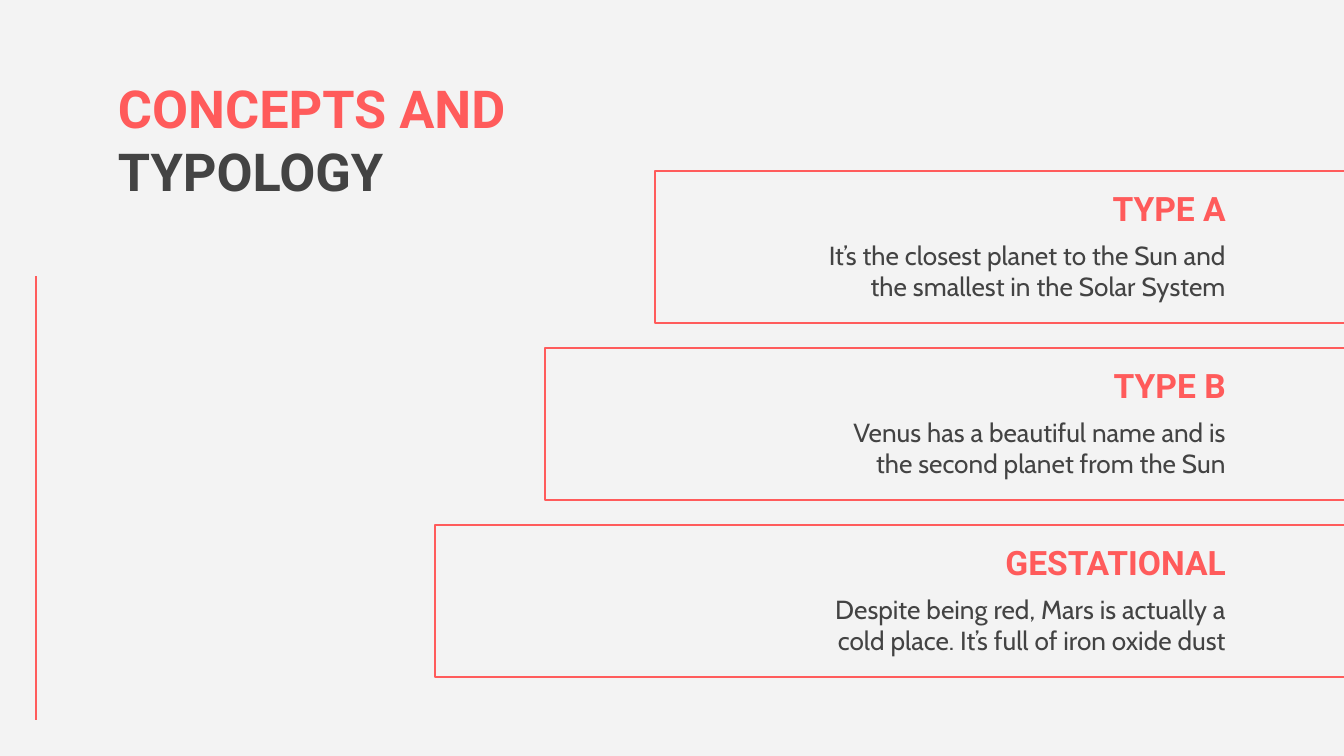
from dataclasses import dataclass

from lxml.etree import SubElement
from pptx import Presentation
from pptx.dml.color import RGBColor
from pptx.enum.shapes import MSO_CONNECTOR, MSO_SHAPE
from pptx.enum.text import MSO_ANCHOR, PP_ALIGN
from pptx.oxml.ns import qn
from pptx.util import Emu, Pt

PX_PER_INCH = 134.4
SLIDE_W, SLIDE_H = 1344, 756


@dataclass(frozen=True)
class Theme:
    background: RGBColor = RGBColor(0xF3, 0xF3, 0xF3)
    accent: RGBColor = RGBColor(0xFF, 0x5B, 0x5B)
    ink: RGBColor = RGBColor(0x43, 0x43, 0x43)
    heading_font: str = "Roboto"
    body_font: str = "Cabin"
    title_size: int = 28
    heading_size: int = 18
    body_size: int = 14
    line_width: float = 1.5


THEME = Theme()

TYPES = [
    ("TYPE A", "It’s the closest planet to the Sun and the smallest in the Solar System"),
    ("TYPE B", "Venus has a beautiful name and is the second planet from the Sun"),
    ("GESTATIONAL", "Despite being red, Mars is actually a cold place. It’s full of iron oxide dust"),
]


def px(length):
    return Emu(round(length * 914400 / PX_PER_INCH))


def write_text(shape, runs, *, font, size, bold=False, align=PP_ALIGN.LEFT,
               anchor=MSO_ANCHOR.TOP):
    """Fill a shape with one paragraph made of (text, colour) runs."""
    frame = shape.text_frame
    frame.word_wrap = True
    frame.vertical_anchor = anchor
    frame.margin_left = frame.margin_right = px(13)
    frame.margin_top = frame.margin_bottom = px(13)
    paragraph = frame.paragraphs[0]
    paragraph.alignment = align
    for text, colour in runs:
        run = paragraph.add_run()
        run.text = text
        run.font.name = font
        run.font.size = Pt(size)
        run.font.bold = bold
        run.font.color.rgb = colour


def add_title(slide, left, top, width, height):
    title = slide.shapes.title
    title.left, title.top, title.width, title.height = map(px, (left, top, width, height))
    write_text(title, [("CONCEPTS AND ", THEME.accent), ("TYPOLOGY", THEME.ink)],
               font=THEME.heading_font, size=THEME.title_size, bold=True,
               anchor=MSO_ANCHOR.MIDDLE)


def add_side_line(slide, x, top, bottom):
    line = slide.shapes.add_connector(MSO_CONNECTOR.STRAIGHT, px(x), px(bottom), px(x), px(top))
    line.line.color.rgb = THEME.accent
    line.line.width = Pt(THEME.line_width)
    SubElement(line._element.spPr, qn("a:effectLst"))


def add_type_band(slide, left, top, width, height, heading, description):
    """Outlined band running off the right edge, with right-aligned text."""
    band = slide.shapes.add_shape(MSO_SHAPE.RECTANGLE, px(left), px(top), px(width), px(height))
    band.shadow.inherit = False
    band.fill.background()
    band.line.color.rgb = THEME.accent
    band.line.width = Pt(THEME.line_width)

    text_width = 430
    text_left = left + width - 125 - text_width
    description_box = slide.shapes.add_textbox(px(text_left), px(top + 55), px(text_width), px(86))
    write_text(description_box, [(description, THEME.ink)], font=THEME.body_font,
               size=THEME.body_size, align=PP_ALIGN.RIGHT)
    heading_box = slide.shapes.add_textbox(px(text_left), px(top + 4), px(text_width), px(56))
    write_text(heading_box, [(heading, THEME.accent)], font=THEME.heading_font,
               size=THEME.heading_size, bold=True, align=PP_ALIGN.RIGHT)


def add_type_bands(slide, left, top, right, height):
    """Stack the bands, each reaching one step further left than the last."""
    step, pitch = 110, 177
    for index, (heading, description) in enumerate(TYPES):
        band_left = left - index * step
        add_type_band(slide, band_left, top + index * pitch, right - band_left, height,
                      heading, description)


def main():
    presentation = Presentation()
    presentation.slide_width, presentation.slide_height = px(SLIDE_W), px(SLIDE_H)
    slide = presentation.slides.add_slide(presentation.slide_layouts[5])
    slide.background.fill.solid()
    slide.background.fill.fore_color.rgb = THEME.background

    add_side_line(slide, 36, 276, 720)
    add_type_bands(slide, 655, 171, 1364, 152)
    add_title(slide, 105, 63, 567, 152)
    presentation.save("out.pptx")


if __name__ == "__main__":
    main()
